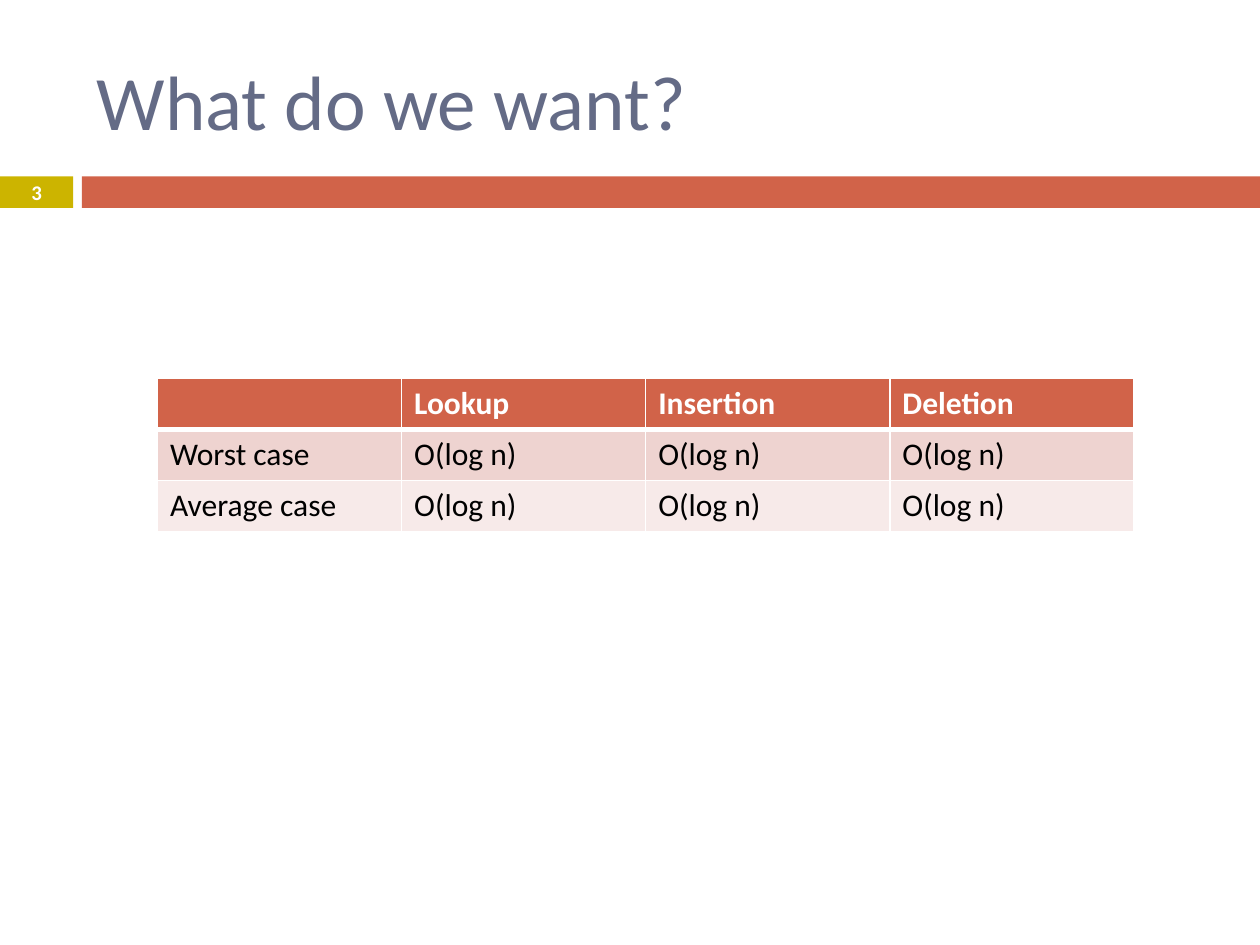
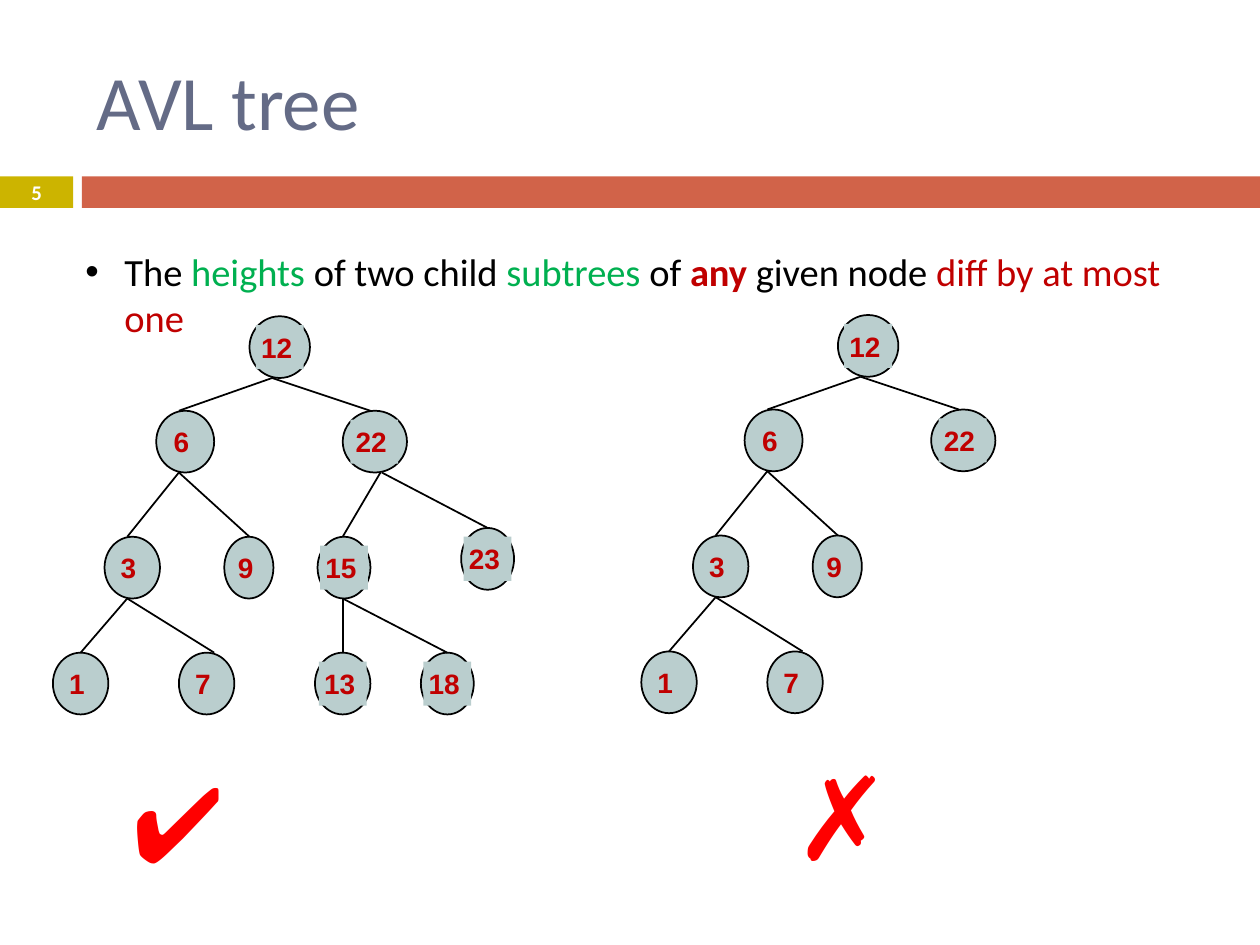
from lxml.etree import SubElement
from pptx import Presentation
from pptx.dml.color import RGBColor
from pptx.enum.shapes import MSO_CONNECTOR, MSO_SHAPE
from pptx.enum.text import MSO_ANCHOR, PP_ALIGN
from pptx.oxml.ns import qn
from pptx.util import Pt

PX = 9144  # 100 px to the inch
HUES = {
    "title": "646B86", "gold": "CCB400", "rust": "D16349",
    "white": "FFFFFF", "black": "000000", "green": "00B050",
    "crimson": "C00000", "red": "FF0000", "node": "BACECE",
    "pink": "EED3D0", "blush": "F7EAE9",
}
INK = {name: RGBColor.from_string(code) for name, code in HUES.items()}


def block(shapes, kind, place, fill, line=None):
    shape = shapes.add_shape(kind, *[n * PX for n in place])
    shape.shadow.inherit = False
    shape.fill.solid()
    shape.fill.fore_color.rgb = INK[fill]
    if line:
        shape.line.color.rgb = INK[line]
        shape.line.width = Pt(1)
    else:
        shape.line.fill.background()
    return shape


def write(frame, runs, size, font="Calibri", align=PP_ALIGN.LEFT,
          anchor=MSO_ANCHOR.TOP, wrap=True):
    """Fill the first paragraph with (text, colour, bold) runs."""
    frame.word_wrap = wrap
    frame.vertical_anchor = anchor
    para = frame.paragraphs[0]
    para.alignment = align
    for text, hue, bold in runs:
        run = para.add_run()
        run.text = text
        run.font.name = font
        run.font.size = Pt(size)
        run.font.bold = bold
        run.font.color.rgb = INK[hue]
    return para


deck = Presentation()
deck.slide_width, deck.slide_height = 1000 * PX, 750 * PX

# Title, bands and number on each slide
slides = []
for title, number in [("What do we want?", "3"), ("AVL tree", "5")]:
    slide = deck.slides.add_slide(deck.slide_layouts[6])
    slides.append(slide)
    block(slide.shapes, MSO_SHAPE.RECTANGLE, (0, 140, 58, 25), "gold")
    block(slide.shapes, MSO_SHAPE.RECTANGLE, (65, 140, 935, 25), "rust")
    head = slide.shapes.add_textbox(67 * PX, 25 * PX, 892 * PX, 108 * PX)
    write(head.text_frame, [(title, "title", False)], 44,
          anchor=MSO_ANCHOR.MIDDLE)
    page = slide.shapes.add_textbox(0, 139 * PX, 58 * PX, 27 * PX)
    write(page.text_frame, [(number, "white", True)], 11.9,
          align=PP_ALIGN.CENTER, anchor=MSO_ANCHOR.MIDDLE)
costs, trees = [slide.shapes for slide in slides]

# Cost table
rows = [
    ("rust", ["", "Lookup", "Insertion", "Deletion"]),
    ("pink", ["Worst case"] + ["O(log n)"] * 3),
    ("blush", ["Average case"] + ["O(log n)"] * 3),
]
grid = costs.add_table(3, 4, 125 * PX, 300 * PX, 775 * PX, 122 * PX).table
for r, (fill, words) in enumerate(rows):
    top = r == 0
    for c, word in enumerate(words):
        cell = grid.cell(r, c)
        props = cell._tc.get_or_add_tcPr()
        for side in "LRTB":
            thick = (top and side == "B") or (r == 1 and side == "T")
            edge = SubElement(props, qn(f"a:ln{side}"),
                              w=str(Pt(3 if thick else 1)))
            paint = SubElement(edge, qn("a:solidFill"))
            SubElement(paint, qn("a:srgbClr"), val=HUES["white"])
        cell.fill.solid()
        cell.fill.fore_color.rgb = INK[fill]
        if word:
            write(cell.text_frame,
                  [(word, "white" if top else "black", top)], 18)

# Rule of the tree
rule = trees.add_textbox(58 * PX, 192 * PX, 883 * PX, 84 * PX)
para = rule.text_frame.paragraphs[0]
props = para._p.get_or_add_pPr()
props.set("marL", str(31 * PX))
props.set("indent", str(-31 * PX))
SubElement(props, qn("a:buFont"), typeface="Arial")
SubElement(props, qn("a:buChar"), char="•")
write(rule.text_frame, [
    ("The ", "black", False),
    ("heights", "green", False),
    (" of two child ", "black", False),
    ("subtrees ", "green", False),
    ("of ", "black", False),
    ("any ", "crimson", True),
    ("given node ", "black", False),
    ("diff by at most one", "crimson", False),
], 22)

# Verdict under each tree
for mark, size, place in [("✔", 60, (95, 596, 177, 111)),
                          ("✗", 66, (621, 586, 86, 121))]:
    sign = trees.add_textbox(*[n * PX for n in place])
    write(sign.text_frame, [(mark, "red", False)], size, "Arial")

# Nodes: key -> left, top, width
nodes = {
    12: (198, 251, 48), 6: (124, 326, 46), 22: (272, 326, 51),
    15: (252, 426, 42), 9: (178, 426, 39), 3: (83, 426, 44),
    13: (250, 518, 44), 7: (142, 518, 44), 1: (42, 518, 44),
    18: (334, 518, 42), 23: (366, 419, 42),
}
# Edges: parent, child, x at parent, x at child
edges = [
    (12, 6, 216, 142), (12, 22, 216, 294), (6, 3, 142, 101),
    (6, 9, 142, 198), (22, 15, 302, 272), (3, 1, 101, 64),
    (3, 7, 101, 170), (15, 13, 272, 272), (15, 18, 272, 355),
    (22, 23, 303, 387),
]
TALL = 49
for keys, dx, dy in [(list(nodes), 0, 0), ([12, 6, 22, 9, 3, 7, 1], 467, -1)]:
    for key in keys:
        left, top, wide = nodes[key]
        x, y = left + dx, top + dy
        group = trees.add_group_shape().shapes
        block(group, MSO_SHAPE.OVAL, (x, y, wide, TALL), "node", "black")
        span = 38 if key > 9 else 25
        label = block(group, MSO_SHAPE.RECTANGLE,
                      (x + (wide - span) // 2, y + 7, span, 35), "node")
        frame = label.text_frame
        frame.margin_left = frame.margin_top = frame.margin_bottom = 4 * PX
        frame.margin_right = 9 * PX
        write(frame, [(str(key), "crimson", True)], 16, "Arial",
              PP_ALIGN.CENTER, MSO_ANCHOR.MIDDLE, wrap=False)
    for above, below, start, end in edges:
        if below not in keys:
            continue
        ends = (start + dx, nodes[above][1] + TALL + dy,
                end + dx, nodes[below][1] + dy)
        link = trees.add_connector(MSO_CONNECTOR.STRAIGHT,
                                   *[n * PX for n in ends])
        link.line.color.rgb = INK["black"]
        link.line.width = Pt(1)
        SubElement(link._element.spPr, qn("a:effectLst"))

deck.save("out.pptx")
